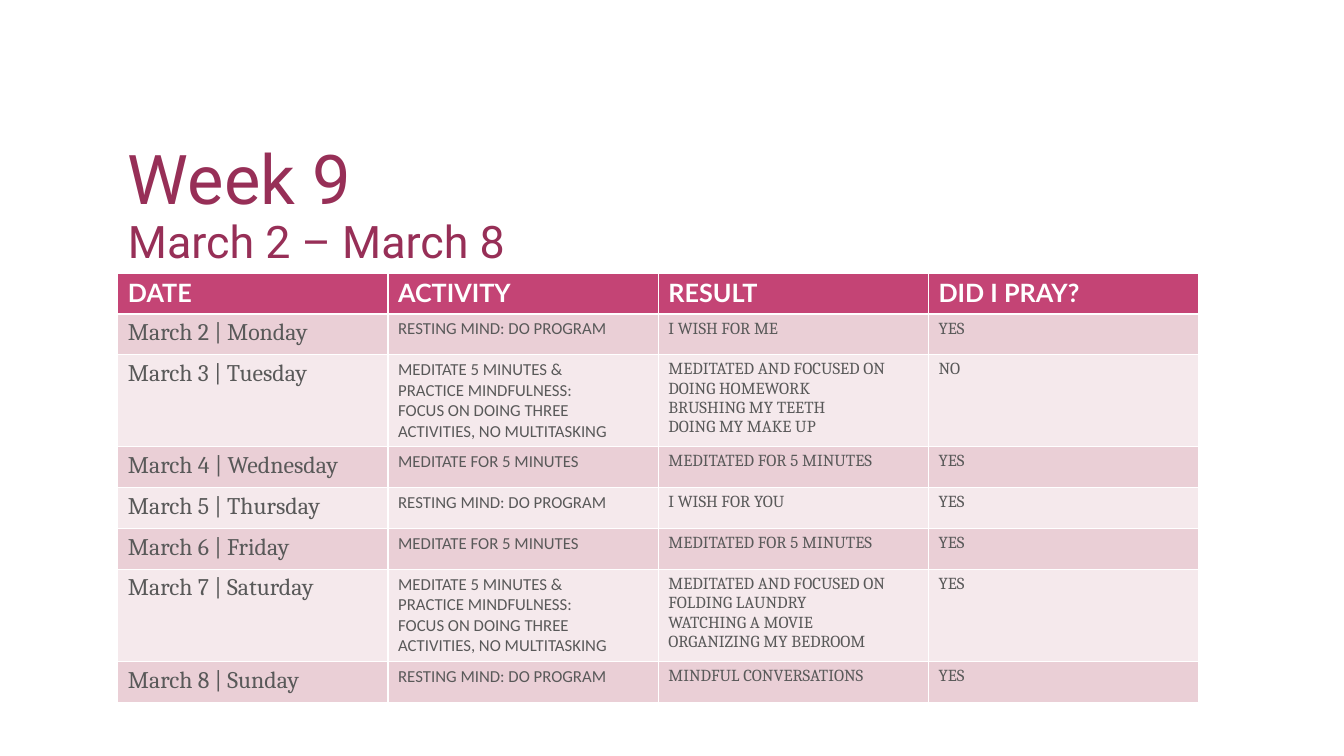
"""Build the week 9 mindfulness log slide with its title and activity table."""
from dataclasses import dataclass

from pptx import Presentation
from pptx.dml.color import RGBColor
from pptx.enum.text import MSO_ANCHOR, MSO_AUTO_SIZE, PP_ALIGN
from pptx.util import Cm, Pt

BOTTOM, LEFT, NO_FIT = MSO_ANCHOR.BOTTOM, PP_ALIGN.LEFT, MSO_AUTO_SIZE.NONE
WINE = RGBColor(0x97, 0x2F, 0x57)
ROSE = RGBColor(0xC4, 0x44, 0x75)
PINK = RGBColor(0xEA, 0xCF, 0xD6)
PALE_PINK = RGBColor(0xF5, 0xE9, 0xEC)
WHITE = RGBColor(0xFF, 0xFF, 0xFF)
GREY = RGBColor(0x59, 0x59, 0x59)


@dataclass(frozen=True)
class Style:
    font: str
    size: int
    color: RGBColor
    bold: bool = False


@dataclass(frozen=True)
class Day:
    date: str
    activity: str
    result: str
    prayed: str = "YES"


WEEK_STYLE = Style("Roboto", 49, WINE)
DATES_STYLE = Style("Roboto", 32, WINE)
HEADING_STYLE = Style("Lato", 18, WHITE, True)
DATE_STYLE = Style("Cambria", 17, GREY)
ACTIVITY_STYLE = Style("Calibri", 12, GREY)
RESULT_STYLE = Style("Cambria", 12, GREY)
DAY_STYLES = (DATE_STYLE, ACTIVITY_STYLE, RESULT_STYLE, RESULT_STYLE)

HEADINGS = ("DATE", "ACTIVITY", "RESULT", "DID I PRAY?")
PROGRAM = "RESTING MIND: DO PROGRAM"
MEDITATE = "MEDITATE FOR 5 MINUTES"
MEDITATED = "MEDITATED FOR 5 MINUTES"
FOCUS = ("MEDITATE 5 MINUTES &\nPRACTICE MINDFULNESS:\n"
         "FOCUS ON DOING THREE ACTIVITIES, NO MULTITASKING")
DAYS = (
    Day("March 2 | Monday", PROGRAM, "I WISH FOR ME"),
    Day("March 3 | Tuesday", FOCUS,
        "MEDITATED AND FOCUSED ON DOING HOMEWORK\nBRUSHING MY TEETH\nDOING MY MAKE UP", "NO"),
    Day("March 4 | Wednesday", MEDITATE, MEDITATED),
    Day("March 5 | Thursday", PROGRAM, "I WISH FOR YOU"),
    Day("March 6 | Friday", MEDITATE, MEDITATED),
    Day("March 7 | Saturday", FOCUS,
        "MEDITATED AND FOCUSED ON\nFOLDING LAUNDRY\nWATCHING A MOVIE\nORGANIZING MY BEDROOM"),
    Day("March 8 | Sunday", PROGRAM, "MINDFUL CONVERSATIONS"),
)

MARGIN_LEFT = Cm(2.97)
COLUMN_WIDTH = Cm(6.81)
ROW_HEIGHT = Cm(1.03)


def add_run(paragraph, text: str, style: Style) -> None:
    run = paragraph.add_run()
    run.text = text
    run.font.name = style.font
    run.font.size = Pt(style.size)
    run.font.bold = style.bold
    run.font.color.rgb = style.color


def fill_cell(cell, text: str, style: Style, background: RGBColor) -> None:
    cell.fill.solid()
    cell.fill.fore_color.rgb = background
    for index, line in enumerate(text.split("\n")):
        paragraph = cell.text_frame.add_paragraph() if index else cell.text_frame.paragraphs[0]
        add_run(paragraph, line, style)


def add_heading(slide) -> None:
    heading = slide.shapes.title
    heading.left, heading.top = MARGIN_LEFT, Cm(2.77)
    heading.width, heading.height = Cm(15.27), Cm(4.11)
    frame = heading.text_frame
    frame.word_wrap = True
    frame.auto_size = NO_FIT
    frame.vertical_anchor = BOTTOM
    paragraph = frame.paragraphs[0]
    paragraph.alignment = LEFT
    paragraph.line_spacing = 0.9
    add_run(paragraph, "Week 9", WEEK_STYLE)
    paragraph.add_line_break()
    add_run(paragraph, "March 2 – March 8", DATES_STYLE)


def add_log(slide) -> None:
    row_count, column_count = len(DAYS) + 1, len(HEADINGS)
    log = slide.shapes.add_table(row_count, column_count, MARGIN_LEFT, Cm(6.88),
                                 COLUMN_WIDTH * column_count, ROW_HEIGHT * row_count).table
    for column in log.columns:
        column.width = COLUMN_WIDTH
    for row in log.rows:
        row.height = ROW_HEIGHT
    for column, label in enumerate(HEADINGS):
        fill_cell(log.cell(0, column), label, HEADING_STYLE, ROSE)
    for row, day in enumerate(DAYS, start=1):
        background = PINK if row % 2 else PALE_PINK
        entries = (day.date, day.activity, day.result, day.prayed)
        for column, (entry, style) in enumerate(zip(entries, DAY_STYLES)):
            fill_cell(log.cell(row, column), entry, style, background)


def main() -> None:
    presentation = Presentation()
    presentation.slide_width, presentation.slide_height = Cm(33.87), Cm(19.05)
    slide = presentation.slides.add_slide(presentation.slide_layouts.get_by_name("Title Only"))
    add_heading(slide)
    add_log(slide)
    presentation.save("out.pptx")


if __name__ == "__main__":
    main()
